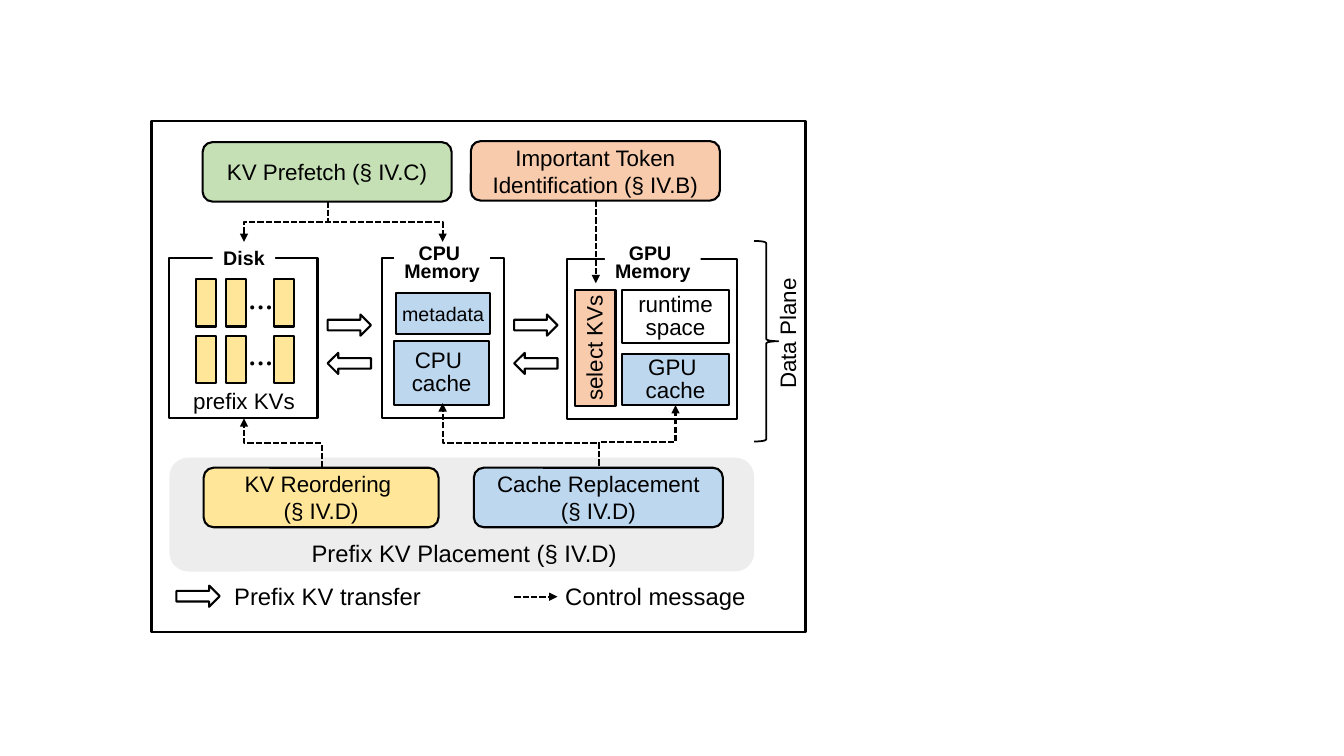
"""Draw the architecture diagram of a tiered prefix KV cache."""
import pptx
import pptx.dml.color
import pptx.enum.dml
import pptx.enum.shapes
import pptx.enum.text
import pptx.oxml.ns
import pptx.oxml.xmlchemy
import pptx.util
from lxml import etree

Inches = pptx.util.Inches
Pt = pptx.util.Pt
RGBColor = pptx.dml.color.RGBColor
SHAPE = pptx.enum.shapes.MSO_SHAPE
CONNECTOR = pptx.enum.shapes.MSO_CONNECTOR
qn = pptx.oxml.ns.qn

BLACK = RGBColor(0x00, 0x00, 0x00)
WHITE = RGBColor(0xFF, 0xFF, 0xFF)
GRAY = RGBColor(0xED, 0xED, 0xED)
YELLOW = RGBColor(0xFF, 0xE6, 0x99)
BLUE = RGBColor(0xBD, 0xD7, 0xEE)
ORANGE = RGBColor(0xF8, 0xCB, 0xAD)
GREEN = RGBColor(0xC5, 0xE0, 0xB4)
TIGHT = 16.6
TITLE_SPACING = 12.6


def write(shape, lines, size, spacing=None, bold=False, font="Arial"):
    """Fill a shape with centred lines of text."""
    frame = shape.text_frame
    frame.word_wrap = True
    frame.margin_left = frame.margin_right = frame.margin_top = frame.margin_bottom = 0
    frame.vertical_anchor = pptx.enum.text.MSO_ANCHOR.MIDDLE
    frame.text = lines
    for paragraph in frame.paragraphs:
        paragraph.alignment = pptx.enum.text.PP_ALIGN.CENTER
        if spacing:
            paragraph.line_spacing = Pt(spacing)
        for run in paragraph.runs:
            run.font.size = Pt(size)
            run.font.bold = bold
            run.font.name = font
            run.font.color.rgb = BLACK
            east_asian = etree.SubElement(run.font._element, qn("a:ea"))
            east_asian.set("typeface", font)


def label(slide, box, text, size, spacing=None, rotation=0, **style):
    """Place text without an outline."""
    caption = slide.shapes.add_textbox(*map(Inches, box))
    caption.rotation = rotation
    write(caption, text, size, spacing, **style)


def block(slide, box, fill=None, kind=SHAPE.RECTANGLE, line=1.5):
    """Place a preset shape with an optional fill and outline."""
    shape = slide.shapes.add_shape(kind, *map(Inches, box))
    shape.shadow.inherit = False
    if fill is None:
        shape.fill.background()
    else:
        shape.fill.solid()
        shape.fill.fore_color.rgb = fill
    if line:
        shape.line.color.rgb = BLACK
        shape.line.width = Pt(line)
    else:
        shape.line.fill.background()
    return shape


def dash(connector):
    """Style a connector as a dashed control message with an arrowhead."""
    connector.line.color.rgb = BLACK
    connector.line.width = Pt(1.5)
    connector.line.dash_style = pptx.enum.dml.MSO_LINE.SQUARE_DOT
    outline = connector.line._get_or_add_ln()
    etree.SubElement(outline, qn("a:tailEnd")).set("type", "triangle")
    etree.SubElement(connector._element.spPr, qn("a:effectLst"))


def straight_message(slide, start, end):
    """Draw a straight control message."""
    dash(slide.shapes.add_connector(CONNECTOR.STRAIGHT, *map(Inches, start + end)))


def bent_message(slide, start, end, bend=0.5):
    """Draw a control message that leaves and arrives vertically."""
    (x1, y1), (x2, y2) = start, end
    rightward, downward = x2 > x1, y2 > y1
    center_x, center_y = (x1 + x2) / 2, (y1 + y2) / 2
    half_run = abs(y2 - y1) / 2 * (-1 if rightward else 1)
    half_rise = abs(x2 - x1) / 2 * (1 if downward else -1)
    corners = (center_x - half_run, center_y - half_rise,
               center_x + half_run, center_y + half_rise)
    connector = slide.shapes.add_connector(CONNECTOR.ELBOW, *map(Inches, corners))
    properties = connector._element.spPr
    turn = 270 if rightward == downward else 90
    properties.find(qn("a:xfrm")).set("rot", str(turn * 60000))
    adjustments = properties.find(qn("a:prstGeom")).find(qn("a:avLst"))
    guide = etree.SubElement(adjustments, qn("a:gd"))
    guide.set("name", "adj1")
    guide.set("fmla", f"val {round(bend * 100000)}")
    dash(connector)


def transfer_arrow(slide, left, top, backward=False):
    """Draw a hollow prefix KV transfer arrow."""
    arrow = block(slide, (left, top, 0.43, 0.21), kind=SHAPE.RIGHT_ARROW)
    if backward:
        arrow._element.spPr.find(qn("a:xfrm")).set("flipH", "1")


def module(slide, box, text, fill):
    """Draw a rounded control module."""
    write(block(slide, box, fill, SHAPE.ROUNDED_RECTANGLE), text, 16)


def cell(slide, box, text, fill=None, size=16, rotation=0):
    """Draw a memory cell with tightly set text."""
    area = block(slide, box, fill)
    area.rotation = rotation
    write(area, text, size, TIGHT)


def tier(slide, box, title_box, title, spacing):
    """Draw a storage tier whose title interrupts its top edge."""
    left, top = box[:2]
    block(slide, box)
    x, y, width, height = title_box
    heading = block(slide, (left + x, top + y, width, height), WHITE, line=None)
    write(heading, title, 14, spacing, bold=True)


def disk(slide, left, top):
    """Draw the disk tier with two rows of prefix KVs."""
    tier(slide, (left, top, 1.47, 1.59), (0.43, -0.16, 0.62, 0.32), "Disk", TIGHT)
    for row in range(2):
        y = top + 0.21 + 0.56 * row
        for x in (0.26, 0.56, 1.04):
            block(slide, (left + x, y, 0.2, 0.47), YELLOW)
        label(slide, (left + 0.7, y + 0.08, 0.41, 0.4), "…", 18,
              bold=True, font="Noto Sans CJK SC")
    label(slide, (left + 0.13, top + 1.26, 1.22, 0.34), "prefix KVs", 16, TIGHT)


def cpu_memory(slide, left, top):
    """Draw the CPU memory tier."""
    tier(slide, (left, top, 1.21, 1.59), (0.12, -0.17, 0.95, 0.47),
         "CPU \nMemory", TITLE_SPACING)
    cell(slide, (left + 0.14, top + 0.35, 0.93, 0.4), "metadata", BLUE, size=14)
    cell(slide, (left + 0.12, top + 0.82, 0.94, 0.64), "CPU \ncache", BLUE)


def gpu_memory(slide, left, top):
    """Draw the GPU memory tier."""
    tier(slide, (left, top, 1.69, 1.59), (0.38, -0.18, 0.95, 0.47),
         "GPU \nMemory", TITLE_SPACING)
    cell(slide, (left - 0.29, top + 0.68, 1.15, 0.4), "select KVs", ORANGE, rotation=270)
    cell(slide, (left + 0.55, top + 0.31, 1.06, 0.52), "runtime\nspace")
    cell(slide, (left + 0.55, top + 0.94, 1.06, 0.51), "GPU \ncache", BLUE)


def data_plane(slide, left, top):
    """Draw the three tiers, the transfers between them and the brace."""
    disk(slide, left, top)
    cpu_memory(slide, left + 2.11, top)
    gpu_memory(slide, left + 3.94, top + 0.01)
    for x in (1.57, 3.42):
        transfer_arrow(slide, left + x, top + 0.56)
        transfer_arrow(slide, left + x, top + 0.94, backward=True)
    block(slide, (left + 5.8, top - 0.17, 0.24, 1.99), kind=SHAPE.RIGHT_BRACE, line=1.25)
    label(slide, (left + 5.49, top + 0.58, 1.31, 0.34), "Data Plane", 16, TIGHT, 270)


def prefix_placement(slide, left, top):
    """Draw the prefix KV placement group and its control messages."""
    block(slide, (left, top, 5.8, 1.13), GRAY, SHAPE.ROUNDED_RECTANGLE, line=None)
    module(slide, (left + 0.34, top + 0.1, 2.33, 0.59), "KV Reordering \n(§ IV.D)", YELLOW)
    module(slide, (left + 3.02, top + 0.1, 2.47, 0.59), "Cache Replacement\n(§ IV.D)", BLUE)
    label(slide, (left + 0.22, top + 0.75, 5.41, 0.39), "Prefix KV Placement (§ IV.D)", 17)
    bent_message(slide, (left + 1.51, top + 0.1), (left + 0.74, top - 0.39))
    cache_exit = (left + 4.26, top + 0.08)
    bent_message(slide, cache_exit, (left + 2.71, top - 0.54), 0.37)
    bent_message(slide, cache_exit, (left + 5.02, top - 0.52), 0.39)


def selection_modules(slide, left, top):
    """Draw the prefetch and token modules and their control messages."""
    module(slide, (left, top + 0.01, 2.47, 0.59), "KV Prefetch (§ IV.C)", GREEN)
    module(slide, (left + 2.66, top, 2.47, 0.59),
           "Important Token Identification (§ IV.B)", ORANGE)
    for x in (0.41, 2.38):
        bent_message(slide, (left + 1.24, top + 0.6), (left + x, top + 1))
    straight_message(slide, (left + 3.9, top + 0.59), (left + 3.9, top + 1.41))


def legend(slide, left, top):
    """Explain the two arrow styles."""
    transfer_arrow(slide, left, top + 0.09)
    label(slide, (left - 0.02, top, 3.04, 0.39), "Prefix KV transfer", 17)
    straight_message(slide, (left + 3.35, top + 0.2), (left + 3.78, top + 0.2))
    label(slide, (left + 3.68, top, 2.14, 0.39), "Control message", 17)


def main():
    """Build and save the slide."""
    deck = pptx.Presentation()
    deck.slide_width, deck.slide_height = Inches(13.33), Inches(7.5)
    slide = deck.slides.add_slide(deck.slide_layouts[6])
    block(slide, (1.5, 1.2, 6.49, 5.07), line=2)
    data_plane(slide, 1.68, 2.56)
    prefix_placement(slide, 1.68, 4.54)
    selection_modules(slide, 2.01, 1.4)
    legend(slide, 1.75, 5.72)
    deck.save("out.pptx")


if __name__ == "__main__":
    main()
